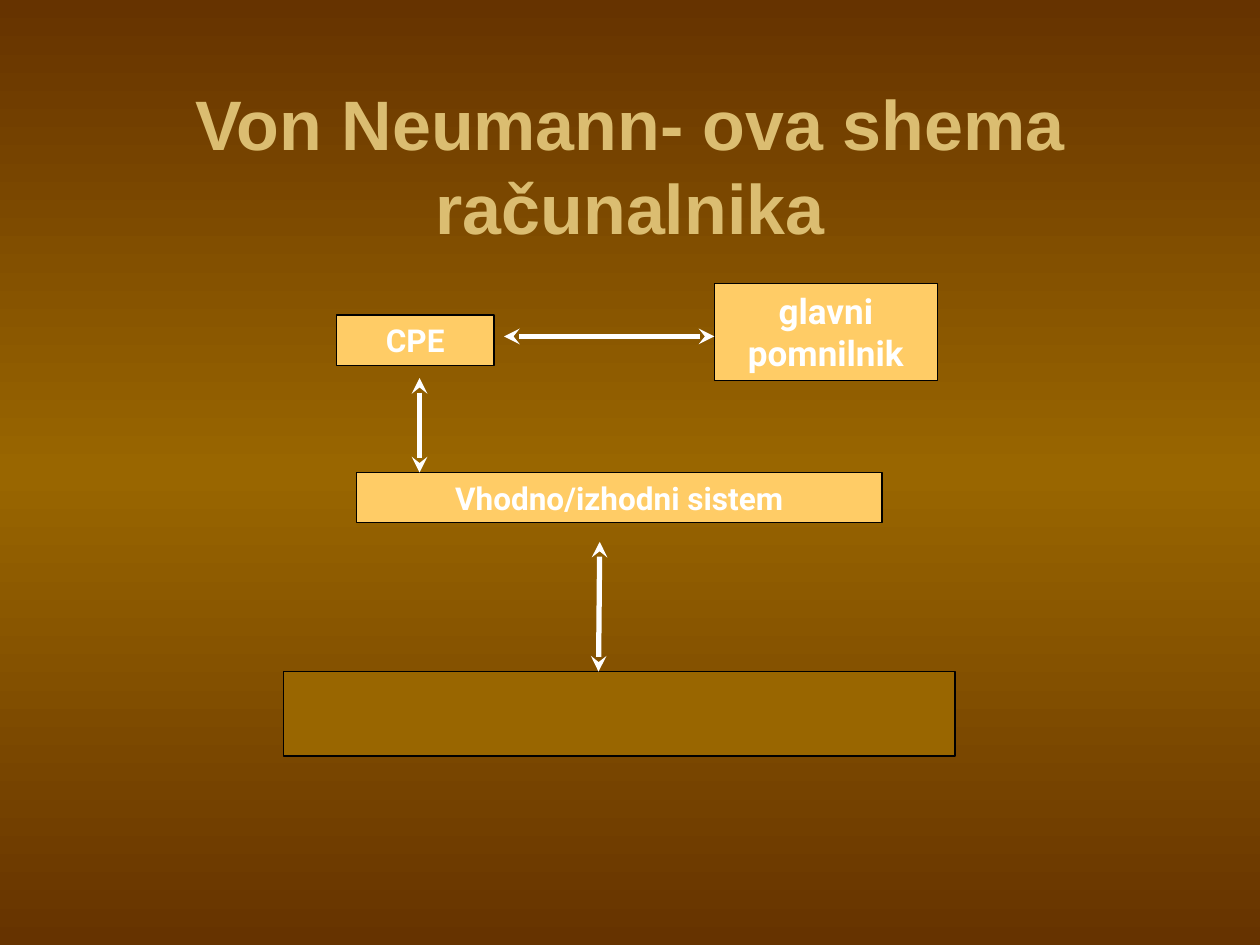
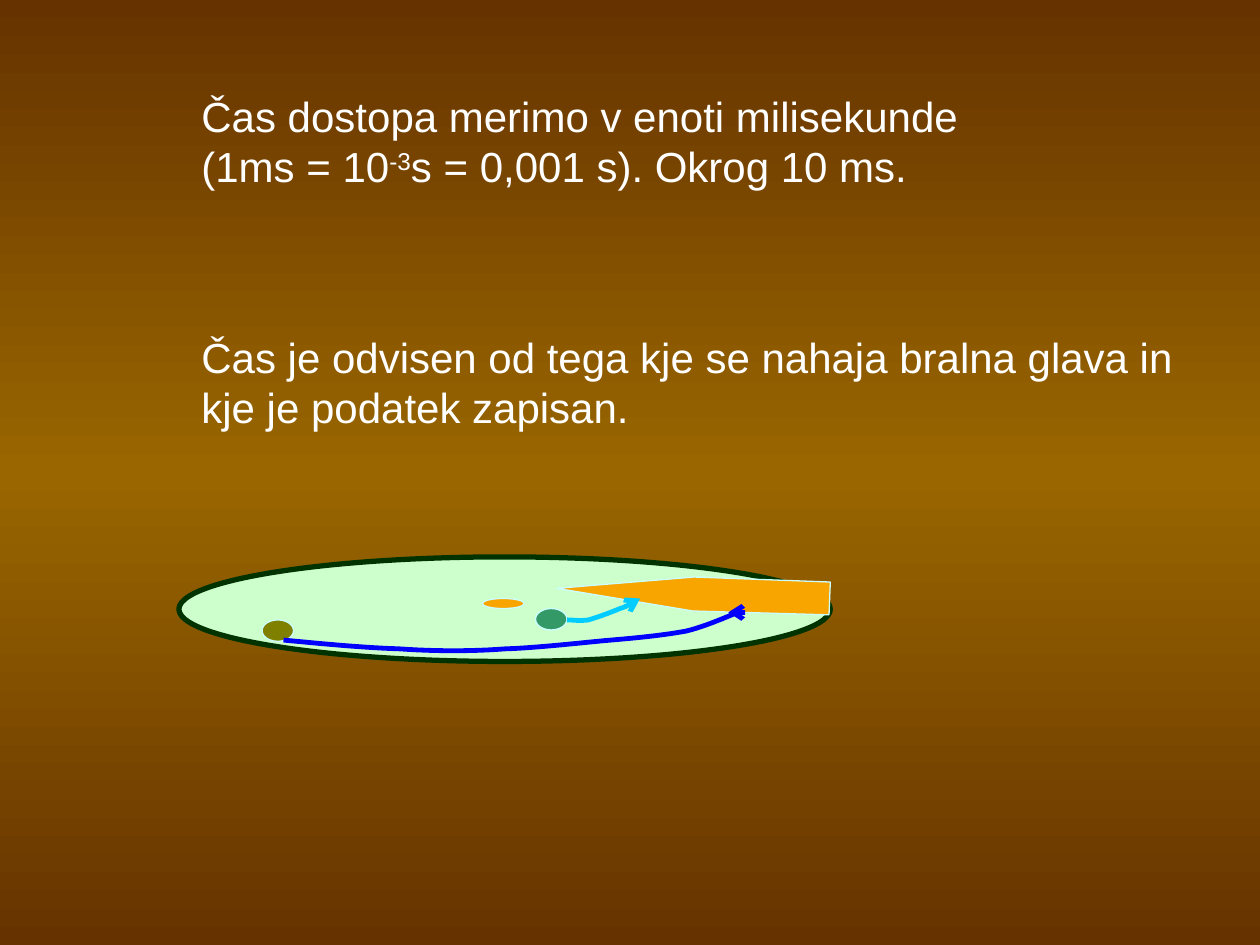
"""Build two slides on the Von Neumann scheme and disk access time."""
from copy import deepcopy

from lxml import etree
from pptx import Presentation
from pptx.dml.color import RGBColor
from pptx.enum.shapes import MSO_CONNECTOR, MSO_SHAPE
from pptx.enum.text import MSO_ANCHOR, MSO_AUTO_SIZE, PP_ALIGN
from pptx.oxml.ns import qn
from pptx.util import Inches, Pt

RECTANGLE, OVAL = MSO_SHAPE.RECTANGLE, MSO_SHAPE.OVAL
STRAIGHT = MSO_CONNECTOR.STRAIGHT
CENTER, MIDDLE = PP_ALIGN.CENTER, MSO_ANCHOR.MIDDLE
NO_AUTOFIT = MSO_AUTO_SIZE.NONE
CURVE_STEPS = 12

COLORS = {
    "edge": "663300", "band": "996600", "title": "DBBD71", "text": "FFFFFF",
    "box": "FFCC66", "outline": "000000", "disk": "CCFFCC", "rim": "003300",
    "head": "F8A500", "pale": "CCFFFF", "far_data": "808000",
    "near_data": "339966", "far_path": "0000FF", "near_path": "00CCFF",
}


def write(paragraph, text, size=24, font="Arial", color="text", bold=False, baseline=0):
    for index, line in enumerate(text.split("\n")):
        if index:
            paragraph.add_line_break()
        run = paragraph.add_run()
        run.text = line
        run.font.size = Pt(size)
        run.font.name = font
        run.font.bold = bold
        run.font.color.rgb = RGBColor.from_string(COLORS[color])
        if baseline:
            run._r.get_or_add_rPr().set("baseline", str(baseline * 1000))


def paint(shape, fill, line, width=0.75):
    shape.shadow.inherit = False
    if fill:
        shape.fill.solid()
        shape.fill.fore_color.rgb = RGBColor.from_string(COLORS[fill])
    else:
        shape.fill.background()
    shape.line.color.rgb = RGBColor.from_string(COLORS[line])
    shape.line.width = Pt(width)


presentation = Presentation()
presentation.slide_width, presentation.slide_height = Inches(10), Inches(7.5)

background = presentation.slide_master.background.fill
background.gradient()
background.gradient_angle = 90
last_stop = background.gradient_stops[1]._gs
last_stop.addnext(deepcopy(last_stop))
for stop, position, color in zip(background.gradient_stops, (0, 0.5, 1), ("edge", "band", "edge")):
    stop.position = position
    stop.color.rgb = RGBColor.from_string(COLORS[color])

slide = presentation.slides.add_slide(presentation.slide_layouts[5])
title = slide.shapes.title
title.left, title.top, title.width, title.height = (Inches(n) for n in (0.75, 0.68, 8.5, 1.25))
title.text_frame.auto_size = NO_AUTOFIT
title.text_frame.vertical_anchor = MIDDLE
paragraph = title.text_frame.paragraphs[0]
paragraph.alignment = CENTER
write(paragraph, "Von Neumann- ova shema računalnika", size=40, color="title", bold=True)

units = [
    ("CPE", 18, "box", 2.67, 2.5, 1.25, 0.4),
    ("glavni pomnilnik", 20, "box", 5.67, 2.25, 1.77, 0.77),
    ("Vhodno/izhodni sistem", 18, "box", 2.83, 3.75, 4.17, 0.4),
    ("", 18, "band", 2.25, 5.33, 5.33, 0.67),
]
for text, size, fill, *frame in units:
    unit = slide.shapes.add_shape(RECTANGLE, *(Inches(n) for n in frame))
    paint(unit, fill, "outline")
    if text:
        unit.text_frame.word_wrap = True
        unit.text_frame.vertical_anchor = MIDDLE
        paragraph = unit.text_frame.paragraphs[0]
        paragraph.alignment = CENTER
        write(paragraph, text, size=size, font="Roboto", bold=True)

for ends in [(4.76, 4.3, 4.75, 5.33), (3.33, 3, 3.33, 3.75), (5.67, 2.67, 4, 2.67)]:
    bus = slide.shapes.add_connector(STRAIGHT, *(Inches(n) for n in ends))
    bus.line.color.rgb = RGBColor.from_string(COLORS["text"])
    bus.line.width = Pt(3)
    for end in ("a:headEnd", "a:tailEnd"):
        etree.SubElement(bus.line._get_or_add_ln(), qn(end), type="stealth")
    etree.SubElement(bus._element.spPr, qn("a:effectLst"))

slide = presentation.slides.add_slide(presentation.slide_layouts[6])
notes_on_time = [
    (0.67, 7.42, [("Čas dostopa merimo v enoti milisekunde\n(1ms = 10", 0), ("-3", 30),
                  ("s = 0,001 s). Okrog 10 ms.", 0)]),
    (2.58, 7.92, [("Čas je odvisen od tega kje se nahaja bralna glava in kje je podatek zapisan.", 0)]),
]
for top, width, parts in notes_on_time:
    text_box = slide.shapes.add_textbox(Inches(1.5), Inches(top), Inches(width), Inches(0.9))
    text_box.text_frame.word_wrap = True
    for text, baseline in parts:
        write(text_box.text_frame.paragraphs[0], text, baseline=baseline)

disk = slide.shapes.add_shape(OVAL, Inches(1.42), Inches(4.42), Inches(5.17), Inches(0.83))
paint(disk, "disk", "rim", 3)
spindle = slide.shapes.add_shape(OVAL, Inches(3.83), Inches(4.75), Inches(0.33), Inches(0.08))
paint(spindle, "head", "pale")

corners = [(6.58, 4.88), (5.5, 4.85), (4.42, 4.67), (5.51, 4.58), (6.59, 4.62)]
outline = [(Inches(x), Inches(y)) for x, y in corners]
builder = slide.shapes.build_freeform(*outline[0])
builder.add_line_segments(outline[1:], close=True)
paint(builder.convert_to_shape(), "head", "pale")

seeks = [
    ("far_data", 2.08, 4.92, "far_path", [
        (2.25, 5.08), (2.56, 5.11), (2.88, 5.14), (3.17, 5.15), (3.47, 5.17), (3.73, 5.17),
        (4.01, 5.15), (4.29, 5.14), (4.62, 5.1), (4.85, 5.08), (5.09, 5.06), (5.27, 5.04),
        (5.44, 5.01), (5.61, 4.97), (5.8, 4.88), (5.86, 4.86), (5.92, 4.83), (5.85, 4.85),
        (5.78, 4.86)]),
    ("near_data", 4.25, 4.83, "near_path", [
        (4.5, 4.92), (4.55, 4.92), (4.6, 4.93), (4.67, 4.92), (4.74, 4.9), (4.85, 4.86),
        (4.92, 4.83), (4.99, 4.81), (5.03, 4.78), (5.08, 4.75)]),
]
for data_color, left, top, path_color, controls in seeks:
    data = slide.shapes.add_shape(OVAL, Inches(left), Inches(top), Inches(0.25), Inches(0.17))
    paint(data, data_color, "pale")
    points = []
    for start in range(0, len(controls) - 1, 3):
        for step in range(1, CURVE_STEPS + 1):
            t = step / CURVE_STEPS
            weights = ((1 - t) ** 3, 3 * t * (1 - t) ** 2, 3 * t ** 2 * (1 - t), t ** 3)
            curve = controls[start:start + 4]
            points.append(tuple(
                Inches(sum(weight * point[axis] for weight, point in zip(weights, curve)))
                for axis in (0, 1)))
    builder = slide.shapes.build_freeform(*(Inches(n) for n in controls[0]))
    builder.add_line_segments(points, close=False)
    seek = builder.convert_to_shape()
    paint(seek, None, path_color, 2.75)
    etree.SubElement(seek.line._get_or_add_ln(), qn("a:tailEnd"), type="arrow")

presentation.save("out.pptx")
